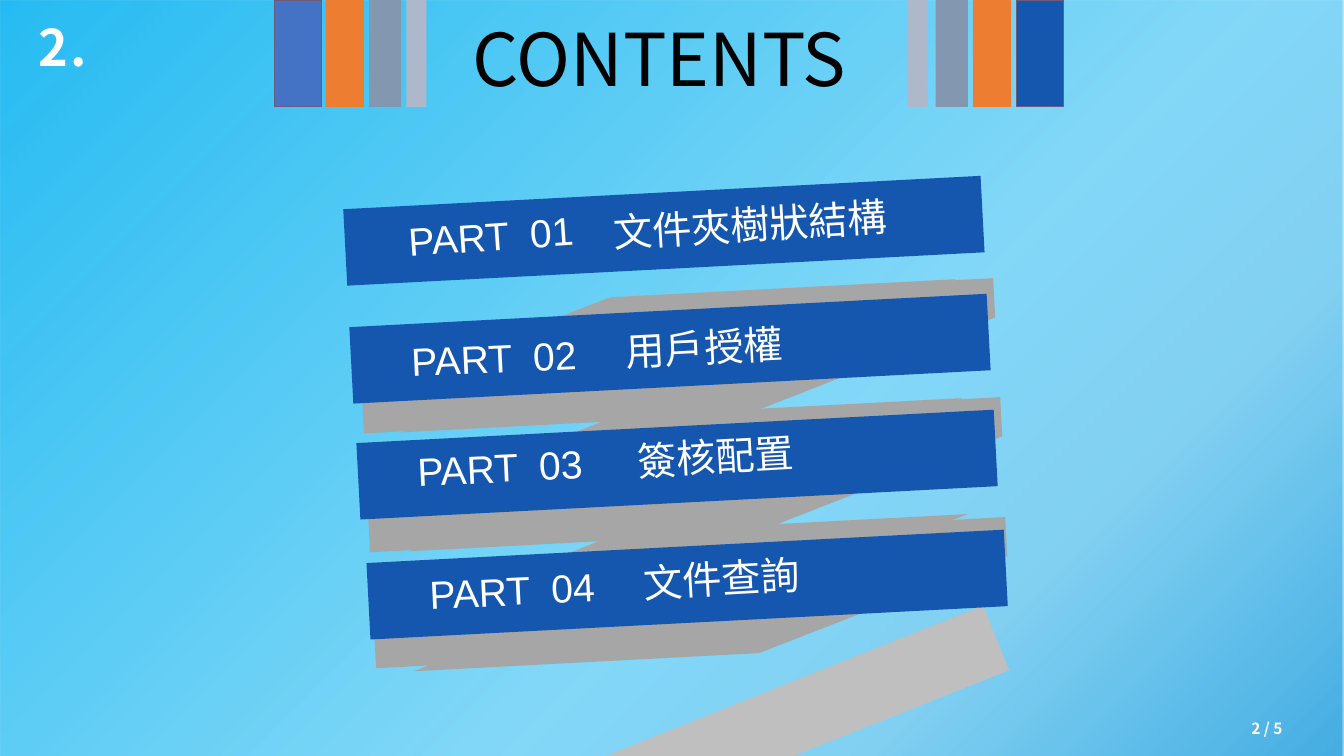
from lxml import etree
from pptx import Presentation
from pptx.dml.color import RGBColor
from pptx.enum.shapes import MSO_SHAPE
from pptx.enum.text import MSO_ANCHOR, MSO_AUTO_SIZE, PP_ALIGN
from pptx.oxml import parse_xml
from pptx.oxml.ns import nsdecls, qn
from pptx.util import Pt

PX = 9144  # 100 px to the inch
WIDTH, HEIGHT = 1333, 750

WHITE = RGBColor(0xFF, 0xFF, 0xFF)
BLACK = RGBColor(0, 0, 0)
BLUE = RGBColor(0x15, 0x57, 0xAE)
LIGHT_BLUE = RGBColor(0x44, 0x72, 0xC4)
ORANGE = RGBColor(0xED, 0x7D, 0x31)
SLATE = RGBColor(0x84, 0x97, 0xB0)
PALE_SLATE = RGBColor(0xAD, 0xB9, 0xCA)
PLUM = RGBColor(0x6C, 0x5B, 0x7B)
GRAY = RGBColor(0xA6, 0xA6, 0xA6)
LIGHT_GRAY = RGBColor(0xBF, 0xBF, 0xBF)

CJK = "Noto Sans CJK SC"
LATIN = "Arial"

# position %, colour, opacity %
SKY_STOPS = [(0, "00B0F0", 85), (60, "00B0F0", 48),
             (77, "00A0E4", 49), (99, "0090D8", 72)]

FOLD_FRONT = [(948, 277), (586, 418), (361, 430), (359, 391), (605, 295)]
FOLD_BACK = [(985, 276), (987, 315), (741, 411), (398, 429), (761, 288)]
FOLD_SHIFTS = [((0, 0), (0, 0)), ((6, 118), (7, 118)), ((12, 233), (12, 237))]
RIBBON_TAIL = [(975, 601), (1001, 665), (785, 751), (581, 758)]

STRIPE_WIDTHS = [20, 32, 38, 47]

# bar position, number box (offset, rotation), title box (offset, width, rotation)
PARTS = [
    ("PART  01", "文件夾樹狀結構", (342, 191), (53, 14, 356.1), (256, 3, 295, 356.6)),
    ("PART  02", "用戶授權", (348, 308), (50, 18, 357.4), (263, 8, 177, 357)),
    ("PART  03", "簽核配置", (355, 423), (49, 12, 357.4), (267, 1, 177, 356.7)),
    ("PART  04", "文件查詢", (365, 542), (51, 15, 357.4), (263, 3, 177, 356.7)),
]


def scaled(*lengths):
    return [n * PX for n in lengths]


def paint(sp, color, line=None):
    sp.shadow.inherit = False
    sp.fill.solid()
    sp.fill.fore_color.rgb = color
    if line is None:
        sp.line.fill.background()
    else:
        sp.line.color.rgb = line
        sp.line.width = Pt(1)
    return sp


def add_rect(shapes, box, color, line=None):
    return paint(shapes.add_shape(MSO_SHAPE.RECTANGLE, *scaled(*box)), color, line)


def add_polygon(shapes, points, color, shift=(0, 0)):
    dx, dy = shift
    moved = [(x + dx, y + dy) for x, y in points]
    builder = shapes.build_freeform(*moved[0], scale=PX)
    builder.add_line_segments(moved[1:], close=True)
    return paint(builder.convert_to_shape(), color)


def add_text(shapes, box, text, size, font, color=WHITE, bold=False, rotation=0):
    """Unwrapped line of text whose box grows with it."""
    sp = shapes.add_textbox(*scaled(*box))
    sp.rotation = rotation
    tf = sp.text_frame
    tf.word_wrap = False
    tf.auto_size = MSO_AUTO_SIZE.SHAPE_TO_FIT_TEXT
    r = tf.paragraphs[0].add_run()
    r.text = text
    r.font.size = Pt(size)
    r.font.name = font
    r.font.bold = bold
    r.font.color.rgb = color
    etree.SubElement(r.font._element, qn("a:ea")).set("typeface", font)
    return tf


def add_background(s, box):
    sp = add_rect(s.shapes, box, WHITE)
    stops = "".join(
        f'<a:gs pos="{pos * 1000}"><a:srgbClr val="{color}">'
        f'<a:alpha val="{alpha * 1000}"/></a:srgbClr></a:gs>'
        for pos, color, alpha in SKY_STOPS)
    gradient = parse_xml(
        f'<a:gradFill {nsdecls("a")} rotWithShape="1"><a:gsLst>{stops}</a:gsLst>'
        '<a:lin ang="2700000" scaled="0"/></a:gradFill>')
    solid = sp._element.spPr.find(qn("a:solidFill"))
    solid.getparent().replace(solid, gradient)


def add_section_number(s, box):
    tf = add_text(s.shapes, box, "2.", 36, CJK, bold=True)
    tf.auto_size = MSO_AUTO_SIZE.NONE
    tf.word_wrap = True
    tf.vertical_anchor = MSO_ANCHOR.MIDDLE
    p = tf.paragraphs[0]
    p.line_spacing = 0.9
    p.runs[0].font._element.set("spc", "200")


def add_page_number(s, box):
    tf = add_text(s.shapes, box, "2 / 5", 11, CJK, bold=True)
    tf.word_wrap = True
    tf.margin_left = tf.margin_top = tf.margin_right = tf.margin_bottom = 0
    tf.paragraphs[0].alignment = PP_ALIGN.RIGHT


def add_stripes(s, lefts, height, outer_color):
    """Four stripes hanging from the top edge, listed from the heading outwards."""
    shapes = s.shapes.add_group_shape().shapes
    colors = [PALE_SLATE, SLATE, ORANGE, outer_color]
    for left, width, color in zip(lefts, STRIPE_WIDTHS, colors):
        line = PLUM if color == outer_color else None
        add_rect(shapes, (left, 0, width, height), color, line)


def add_ribbon(s):
    add_polygon(s.shapes, RIBBON_TAIL, LIGHT_GRAY)
    for front_shift, back_shift in FOLD_SHIFTS:
        shapes = s.shapes.add_group_shape().shapes
        add_polygon(shapes, FOLD_FRONT, GRAY, front_shift)
        add_polygon(shapes, FOLD_BACK, GRAY, back_shift)


def add_part(s, box, number, title, number_place, title_place):
    x, y, _, _ = box
    shapes = s.shapes.add_group_shape().shapes
    add_rect(shapes, box, BLUE).rotation = 357
    dx, dy, width, rotation = title_place
    add_text(shapes, (x + dx, y + dy, width, 57), title, 28, CJK, rotation=rotation)
    dx, dy, rotation = number_place
    add_text(shapes, (x + dx, y + dy, 186, 57), number, 28, LATIN, rotation=rotation)


def add_contents_slide(prs):
    s = prs.slides.add_slide(prs.slide_layouts[6])
    add_background(s, (0, 0, WIDTH, HEIGHT))
    add_section_number(s, (28, 16, 284, 67))
    add_page_number(s, (1200, 713, 72, 19))
    add_ribbon(s)
    add_stripes(s, (900, 928, 965, 1008), 106, BLUE)
    add_stripes(s, (403, 366, 323, 272), 106, LIGHT_BLUE)
    add_text(s.shapes, (459, 9, 411, 98), "CONTENTS", 52, CJK, BLACK)
    for number, title, (x, y), number_place, title_place in PARTS:
        add_part(s, (x, y, 633, 76), number, title, number_place, title_place)


def main():
    prs = Presentation()
    prs.slide_width, prs.slide_height = scaled(WIDTH, HEIGHT)
    add_contents_slide(prs)
    prs.save("out.pptx")


if __name__ == "__main__":
    main()
